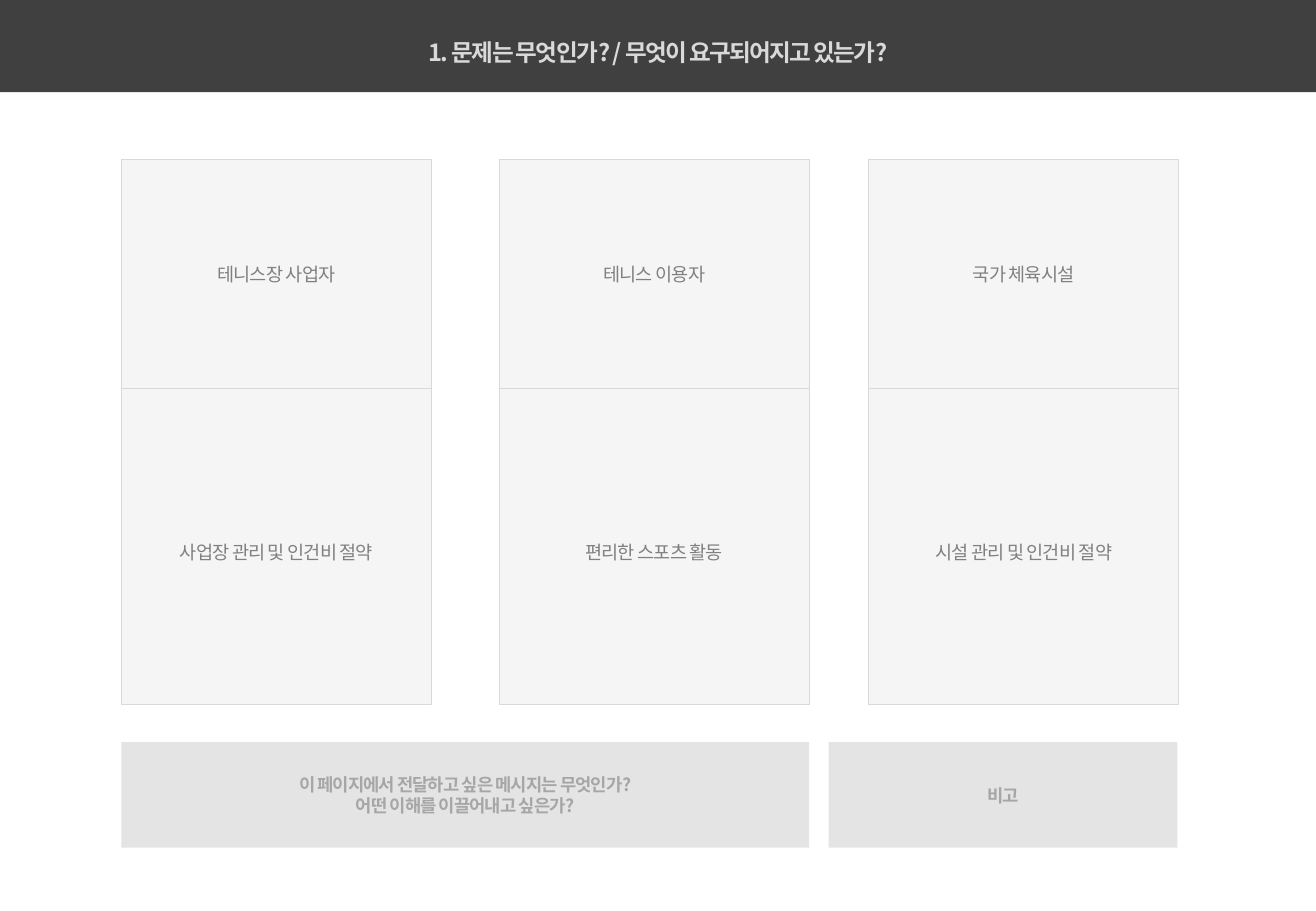
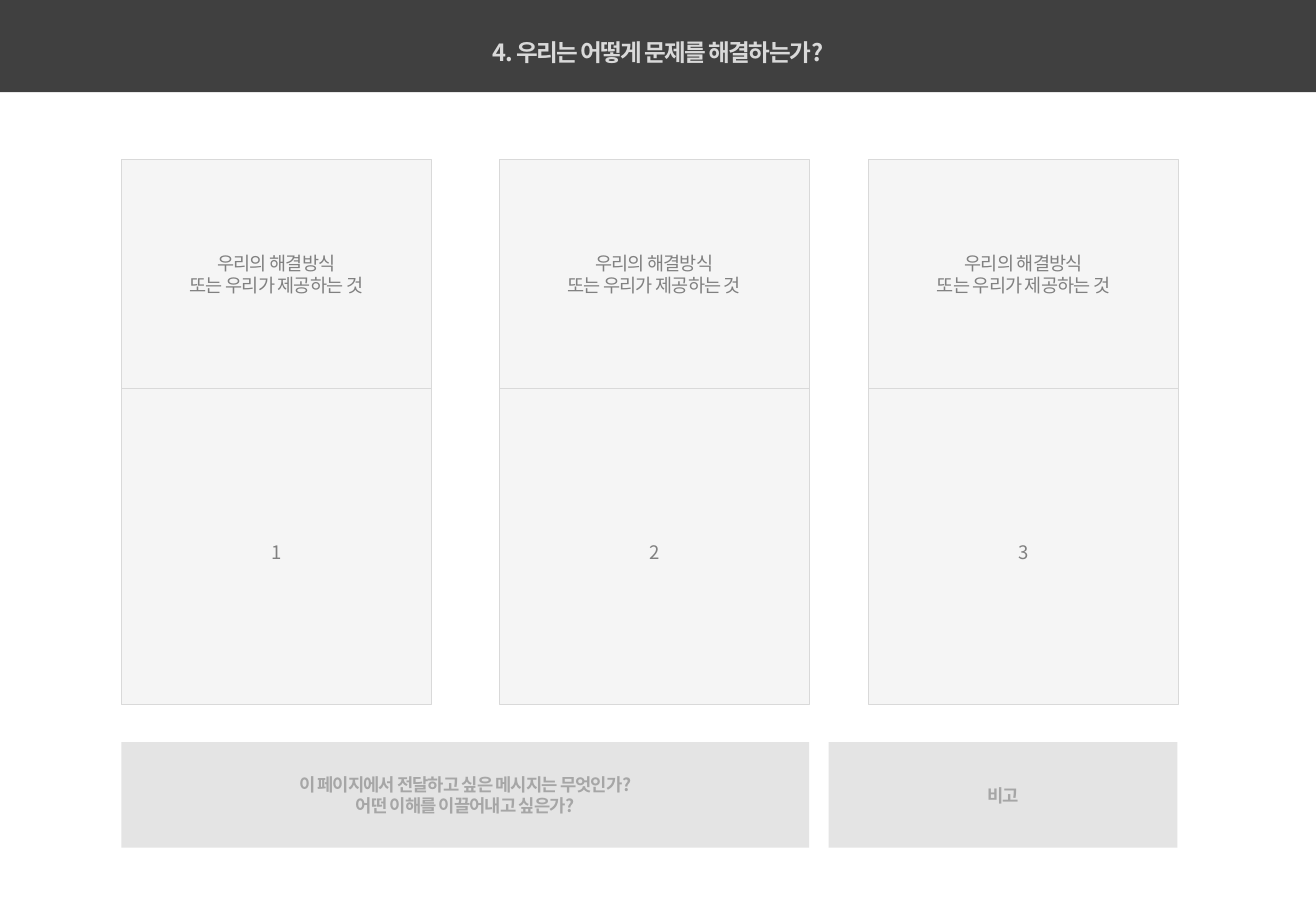
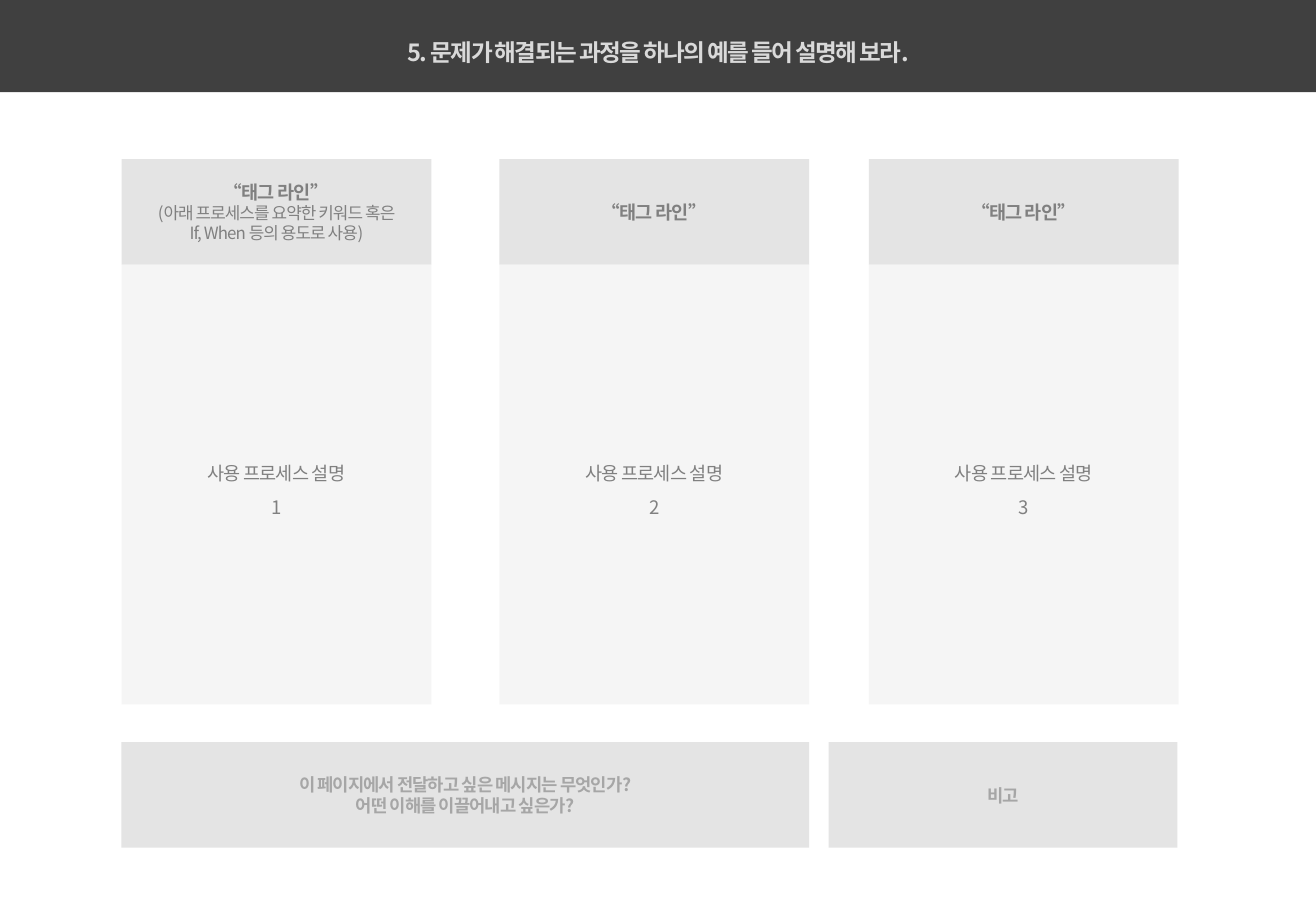
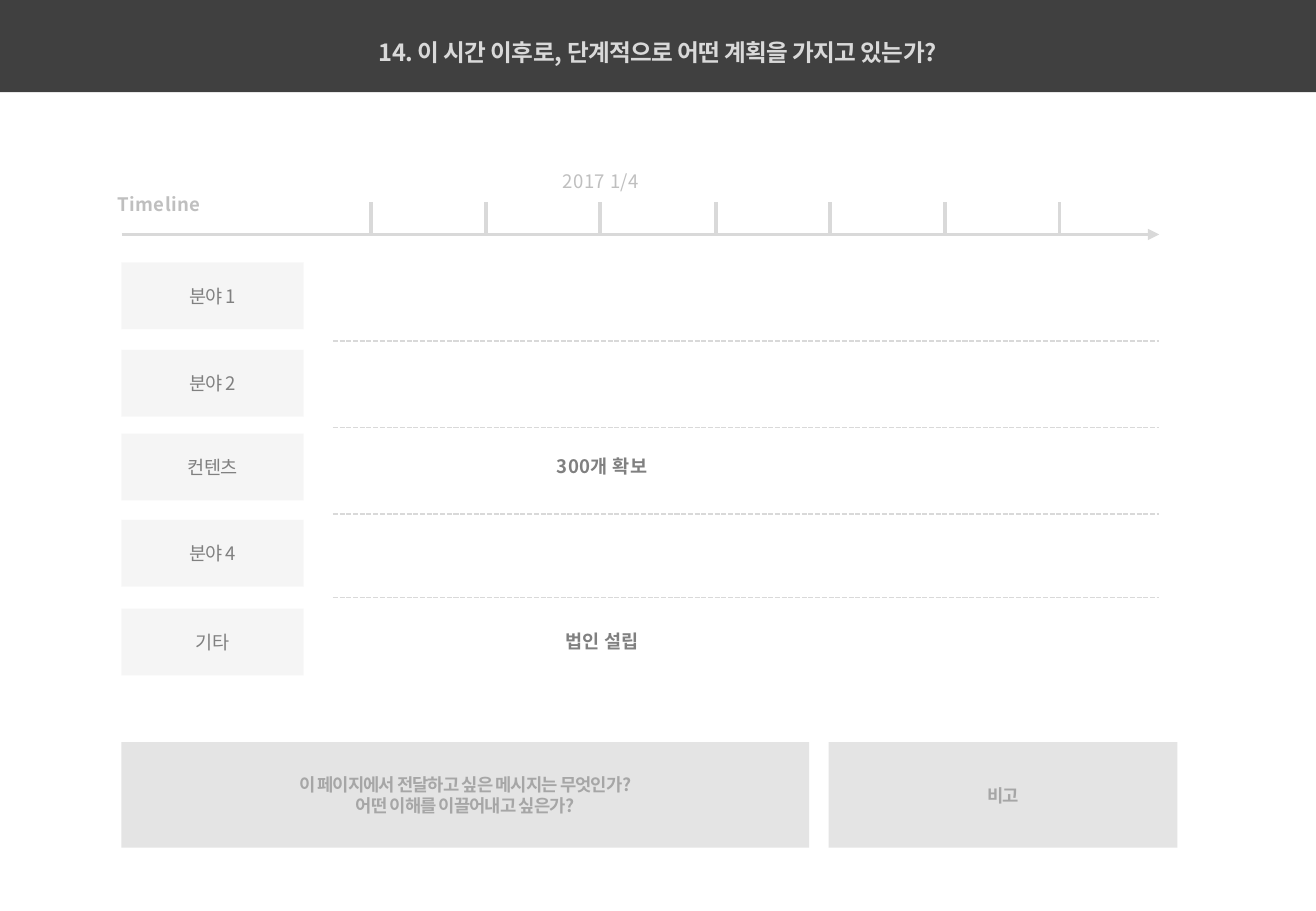
from pptx import Presentation
from pptx.dml.color import RGBColor
from pptx.enum.dml import MSO_LINE
from pptx.enum.shapes import MSO_CONNECTOR, MSO_SHAPE
from pptx.enum.text import MSO_ANCHOR, MSO_AUTO_SIZE, PP_ALIGN
from pptx.oxml.ns import qn
from pptx.util import Emu, Pt
from lxml import etree

RECTANGLE = MSO_SHAPE.RECTANGLE
STRAIGHT = MSO_CONNECTOR.STRAIGHT
DASHED = MSO_LINE.SQUARE_DOT
TOP, MIDDLE = MSO_ANCHOR.TOP, MSO_ANCHOR.MIDDLE
LEFT, CENTER = PP_ALIGN.LEFT, PP_ALIGN.CENTER

# Shared style: 100 px to the inch
PX = 9144
WIDTH, HEIGHT = 1083, 750
FONT = "Noto Sans CJK KR"
COLORS = {
    "band": "404040",
    "title": "D9D9D9",
    "panel": "F2F2F2",
    "accent": "D9D9D9",
    "line": "D9D9D9",
    "body": "808080",
    "footer": "A6A6A6",
    "timeline": "BFBFBF",
}
PANEL_OPACITY = 70

# Shared grid
MARGIN = 100
COLUMN_LEFTS = (100, 411, 715)
COLUMN_WIDTH = 255
COLUMN_TOP, COLUMN_BOTTOM = 131, 580
TIMELINE_RIGHT = 954


def px(value):
    return Emu(value * PX)


def box(left, top, width, height):
    return px(left), px(top), px(width), px(height)


def rgb(name):
    return RGBColor.from_string(COLORS[name])


def format_font(paragraph, size, color, bold, tracking):
    for run in paragraph.runs:
        run.font.name = FONT
        run.font.size = Pt(size)
        run.font.bold = bold
        run.font.color.rgb = rgb(color)
        properties = run.font._element
        properties.set("spc", str(round(tracking * 100)))
        etree.SubElement(properties, qn("a:ea"), typeface=FONT)


def write_text(shape, lines, size=11, color="body", bold=False, tracking=-0.5,
               align=CENTER, anchor=MIDDLE, spacing=1.0, insets=(0, 0, 0, 0),
               wrap=False):
    """Each line is a string, or a pair of a string and its own font format."""
    frame = shape.text_frame
    frame.auto_size = MSO_AUTO_SIZE.NONE
    frame.word_wrap = wrap
    frame.vertical_anchor = anchor
    (frame.margin_left, frame.margin_top,
     frame.margin_right, frame.margin_bottom) = map(px, insets)
    shared = dict(size=size, color=color, bold=bold, tracking=tracking)
    for index, line in enumerate(lines):
        text, own = (line, {}) if isinstance(line, str) else line
        paragraph = frame.add_paragraph() if index else frame.paragraphs[0]
        paragraph.add_run().text = text
        paragraph.alignment = align
        paragraph.line_spacing = spacing
        format_font(paragraph, **{**shared, **own})


def add_panel(slide, area, lines, fill="panel", outlined=False, **text_format):
    shape = slide.shapes.add_shape(RECTANGLE, *box(*area))
    shape.shadow.inherit = False
    shape.fill.solid()
    shape.fill.fore_color.rgb = rgb(fill)
    color = shape.fill._xPr.find(qn("a:solidFill"))[0]
    etree.SubElement(color, qn("a:alpha"), val=str(PANEL_OPACITY * 1000))
    if outlined:
        shape.line.color.rgb = rgb("line")
        shape.line.width = Pt(0.5)
    else:
        shape.line.fill.background()
    write_text(shape, lines, **text_format)


def add_label(slide, left, top, text, **text_format):
    label = slide.shapes.add_textbox(*box(left, top, 131, 28))
    write_text(label, [text], tracking=0.2, anchor=TOP,
               insets=(10, 5, 10, 5), wrap=True, **text_format)


def add_line(slide, start, end, width, dash=None, arrow=False):
    line = slide.shapes.add_connector(STRAIGHT, *map(px, start + end))
    line.line.color.rgb = rgb("line")
    line.line.width = Pt(width)
    if dash:
        line.line.dash_style = dash
    if arrow:
        etree.SubElement(line.line._ln, qn("a:tailEnd"), type="triangle")
    etree.SubElement(line._element.spPr, qn("a:effectLst"))


def add_page(presentation, title, tracking=-1):
    """Title band and footer panels, common to every slide."""
    slide = presentation.slides.add_slide(presentation.slide_layouts[5])
    band = slide.shapes.title
    band.left, band.top, band.width, band.height = box(0, 0, WIDTH, 76)
    band.fill.solid()
    band.fill.fore_color.rgb = rgb("band")
    write_text(band, [title], size=14, color="title", bold=True,
               tracking=tracking, anchor=TOP, insets=(10, 31, 10, 5), wrap=True)

    footer = dict(fill="accent", size=10.5, color="footer", bold=True)
    add_panel(slide, (MARGIN, 611, 566, 87),
              ["이 페이지에서 전달하고 싶은 메시지는 무엇인가?",
               "어떤 이해를 이끌어내고 싶은가?"], **footer)
    add_panel(slide, (682, 611, 287, 87), ["비고"], **footer)
    return slide


def add_columns(slide, columns, head_height, head_format, outlined=False):
    """Three columns, each a head panel on a body panel."""
    body_top = COLUMN_TOP + head_height
    for left, (head, body) in zip(COLUMN_LEFTS, columns):
        add_panel(slide, (left, COLUMN_TOP, COLUMN_WIDTH, head_height), head,
                  outlined=outlined, **head_format)
        add_panel(slide, (left, body_top, COLUMN_WIDTH, COLUMN_BOTTOM - body_top),
                  body, outlined=outlined, spacing=1.5)


def add_timeline(slide):
    # Axis with ticks
    axis = 193
    add_label(slide, 87, 154, "Timeline", color="timeline", bold=True, align=LEFT)
    add_label(slide, 429, 135, "2017 1/4", color="timeline")
    for index in range(7):
        tick = 305 + (189 * index + 1) // 2
        add_line(slide, (tick, axis - 1), (tick, axis - 27), 2.25)
    add_line(slide, (MARGIN, axis), (TIMELINE_RIGHT, axis), 2.25, arrow=True)

    # Rows, separators and milestones
    rows = ((216, "분야 1"), (288, "분야 2"), (357, "컨텐츠"),
            (428, "분야 4"), (501, "기타"))
    for top, name in rows:
        add_panel(slide, (MARGIN, top, 150, 55), [name])
    for height in (281, 352, 423, 492):
        add_line(slide, (274, height), (TIMELINE_RIGHT, height), 1, dash=DASHED)
    for top, milestone in ((370, "300개 확보"), (514, "법인 설립")):
        add_label(slide, 430, top, milestone, bold=True)


def main():
    presentation = Presentation()
    presentation.slide_width, presentation.slide_height = px(WIDTH), px(HEIGHT)

    # Problem
    slide = add_page(presentation, "1. 문제는 무엇인가? / 무엇이 요구되어지고 있는가?")
    needs = [(["테니스장 사업자"], ["사업장 관리 및 인건비 절약"]),
             (["테니스 이용자"], ["편리한 스포츠 활동"]),
             (["국가 체육시설"], ["시설 관리 및 인건비 절약"])]
    add_columns(slide, needs, 189, {}, outlined=True)

    # Solution
    slide = add_page(presentation, "4. 우리는 어떻게 문제를 해결하는가?")
    offer = ["우리의 해결방식", "또는 우리가 제공하는 것"]
    add_columns(slide, [(offer, [number]) for number in "123"], 189, {},
                outlined=True)

    # Process
    slide = add_page(presentation, "5. 문제가 해결되는 과정을 하나의 예를 들어 설명해 보라.")
    tagline = "“태그 라인”"
    small = dict(size=10, bold=False)
    hint = [("(아래 프로세스를 요약한 키워드 혹은", small),
            ("If, When 등의 용도로 사용)", small)]
    heads = ([tagline] + hint, [tagline], [tagline])
    steps = [(head, ["사용 프로세스 설명", number])
             for head, number in zip(heads, "123")]
    add_columns(slide, steps, 87, dict(fill="accent", bold=True))

    # Plan
    slide = add_page(presentation,
                     "14. 이 시간 이후로, 단계적으로 어떤 계획을 가지고 있는가?",
                     tracking=-0.4)
    add_timeline(slide)

    presentation.save("out.pptx")


if __name__ == "__main__":
    main()
